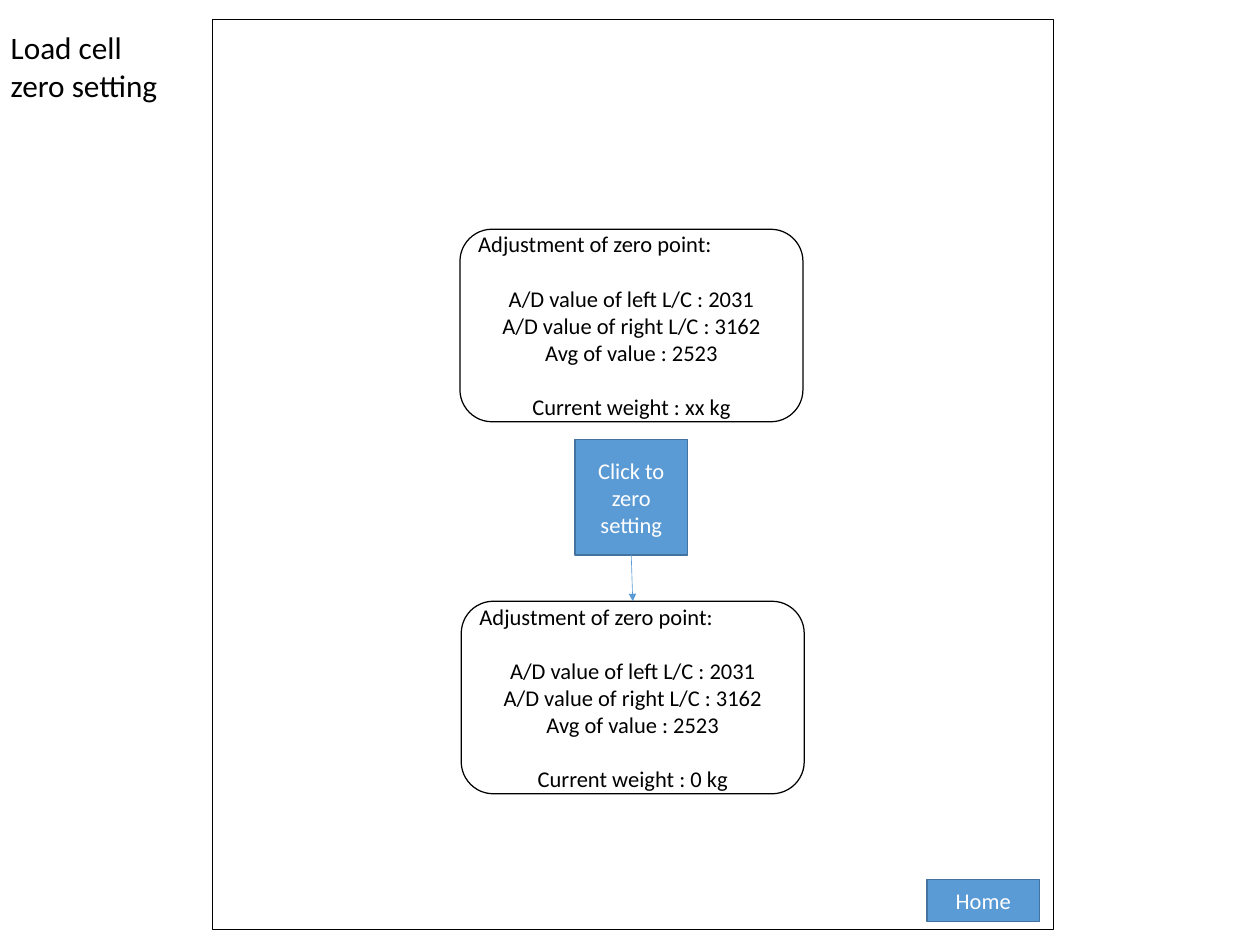
from pptx import Presentation
from pptx.dml.color import RGBColor as RGB
from pptx.enum.shapes import MSO_CONNECTOR as Link, MSO_SHAPE as Kind
from pptx.enum.text import MSO_ANCHOR as Anchor, MSO_AUTO_SIZE as Fit, PP_ALIGN as Align
from pptx.oxml.ns import qn
from pptx.util import Pt
from lxml.etree import SubElement as sub


def paint(code):
    return RGB.from_string(code)


class Screen:
    font, size, row = "Calibri", 18, 22
    black, white, blue, edge = "000000", "FFFFFF", "5B9BD5", "43739E"

    def __init__(self, slide):
        self.slide = slide
        self.shapes = slide.shapes

    def style(self, para, size, color, align):
        para.font.name = self.font
        para.font.size = Pt(size)
        para.font.color.rgb = paint(color)
        para.alignment = align

    def title(self, lines, left, top, width, height):
        box = self.shapes.title
        box.left, box.top, box.width, box.height = map(Pt, (left, top, width, height))
        frame = box.text_frame
        frame.text = "\n".join(lines)
        frame.word_wrap = False
        frame.auto_size = Fit.SHAPE_TO_FIT_TEXT
        frame.vertical_anchor = Anchor.TOP
        for para in frame.paragraphs:
            self.style(para, 25, self.black, Align.LEFT)

    def box(self, kind, left, top, width, height, line, fill=None):
        shape = self.shapes.add_shape(kind, *map(Pt, (left, top, width, height)))
        shape.shadow.inherit = False
        shape.line.color.rgb = paint(line)
        shape.line.width = Pt(1)
        if fill:
            shape.fill.solid()
            shape.fill.fore_color.rgb = paint(fill)
        else:
            shape.fill.background()
        return shape

    def button(self, text, left, top, width, height):
        shape = self.box(Kind.RECTANGLE, left, top, width, height, self.edge, self.blue)
        frame = shape.text_frame
        frame.text = text
        frame.vertical_anchor = Anchor.MIDDLE
        self.style(frame.paragraphs[0], self.size, self.white, Align.CENTER)

    def panel(self, weight, left, top, width, height):
        shape = self.box(Kind.ROUNDED_RECTANGLE, left, top, width, height, self.black)
        # Heading, readings and weight form three groups, one row apart
        groups = [
            ["Adjustment of zero point:"],
            ["A/D value of left L/C : 2031", "A/D value of right L/C : 3162",
             "Avg of value : 2523"],
            [f"Current weight : {weight} kg"],
        ]
        frame = shape.text_frame
        frame.vertical_anchor = Anchor.MIDDLE
        frame.text = "\n".join(text for group in groups for text in group)
        paras = iter(frame.paragraphs)
        for part, group in enumerate(groups):
            for spot, _ in enumerate(group):
                para = next(paras)
                align = Align.CENTER if part else Align.LEFT
                self.style(para, self.size, self.black, align)
                if part and spot == 0:
                    para.space_before = Pt(self.row)

    def arrow(self, *ends):
        line = self.shapes.add_connector(Link.STRAIGHT, *map(Pt, ends))
        line.line.color.rgb = paint(self.blue)
        line.line.width = Pt(0.5)
        props = line.line._get_or_add_ln()
        sub(props, qn("a:tailEnd"), type="triangle")
        sub(props.getparent(), qn("a:effectLst"))


def main():
    deck = Presentation()
    deck.slide_width, deck.slide_height = Pt(1008), Pt(756)
    screen = Screen(deck.slides.add_slide(deck.slide_layouts[5]))

    # Screen frame and heading
    screen.box(Kind.RECTANGLE, 170, 15.8, 673, 728, screen.black)
    screen.title(["Load cell", "zero setting"], 1.4, 19.4, 134, 67.7)

    # Readings before and after zeroing
    screen.panel("xx", 368, 183.4, 274.4, 154)
    screen.panel("0", 369, 481, 274.4, 154)

    # Buttons and flow
    screen.button("Click to zero setting", 460, 351.6, 90, 92.4)
    screen.button("Home", 741.6, 703.4, 90, 33.8)
    screen.arrow(505, 444, 506.2, 481)

    deck.save("out.pptx")


if __name__ == "__main__":
    main()
